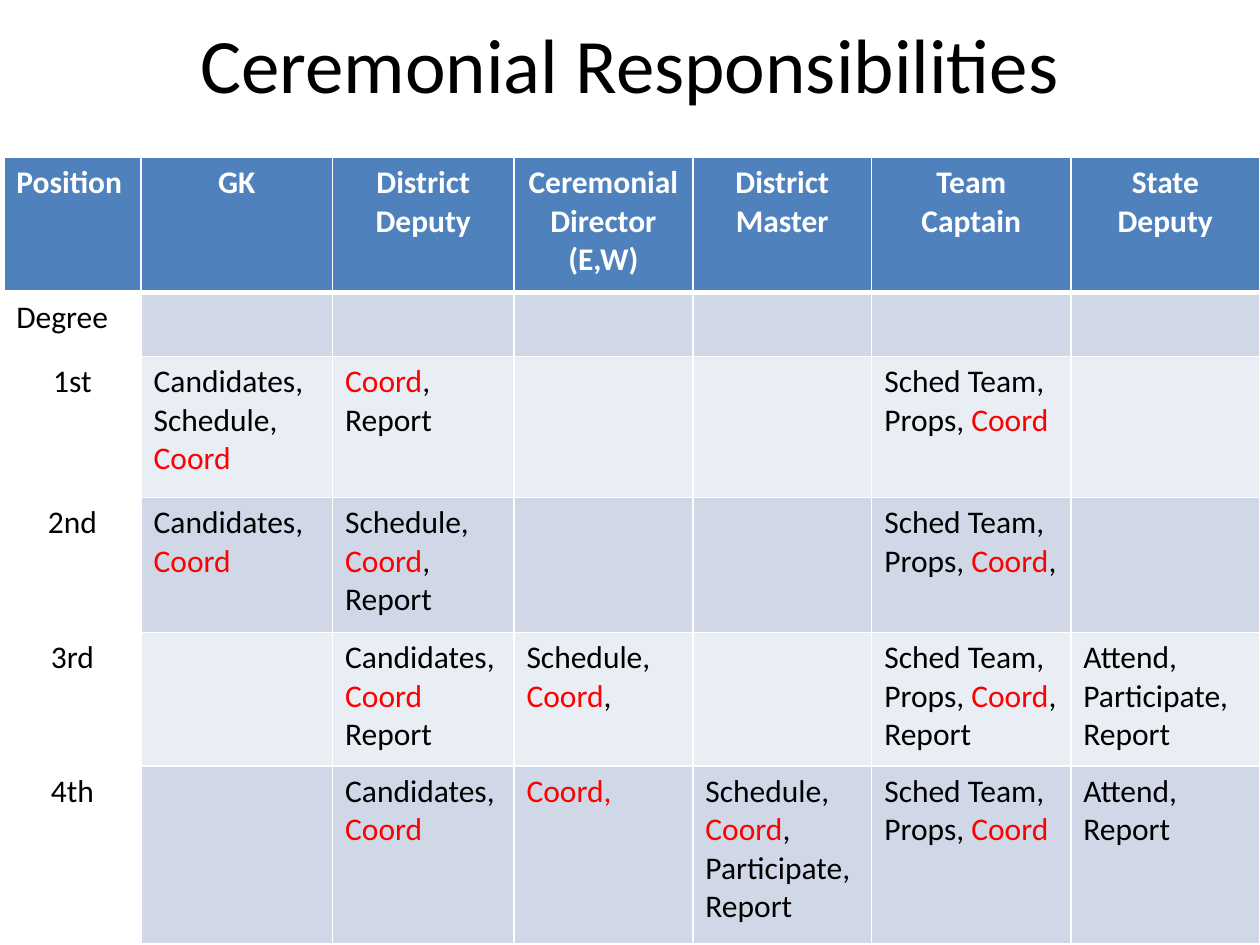
"""Build the Ceremonial Responsibilities slide."""
from lxml import etree
from pptx import Presentation
from pptx.dml.color import RGBColor
from pptx.enum import text
from pptx.oxml import ns
from pptx.util import Inches, Pt

COLORS = {"black": "000000", "white": "FFFFFF", "red": "FF0000",
          "header": "4F81BD", "dark": "D0D8E8", "light": "E9EDF4"}
COLUMNS = [1.09, 1.52, 1.44, 1.42, 1.42, 1.58, 1.5]
HEIGHTS = [1.07, 0.51, 1.12, 1.07, 1.06, 1.41]
TEAM = "Sched Team, Props, *Coord*"
ROWS = [
    ["Position", "GK", "District Deputy", "Ceremonial Director (E,W)",
     "District Master", "Team Captain", "State Deputy"],
    ["Degree", "", "", "", "", "", ""],
    ["1st", "Candidates,\nSchedule,\n*Coord*", "*Coord*,\nReport", "", "", TEAM, ""],
    ["2nd", "Candidates,\n*Coord*", "Schedule,\n*Coord*,\nReport", "", "", TEAM + ",", ""],
    ["3rd", "", "Candidates,*Coord*\nReport", "Schedule,\n*Coord*,", "",
     TEAM + ", Report", "Attend,\nParticipate,\nReport"],
    ["4th", "", "Candidates,\n*Coord*", "*Coord,*",
     "Schedule,\n*Coord*, Participate,\nReport", TEAM, "Attend,\nReport"],
]


def rgb(name):
    """Return the named colour."""
    return RGBColor.from_string(COLORS[name])


def add_run(p, words, size, color, bold=False):
    """Append one formatted run to a paragraph."""
    r = p.add_run()
    r.text = words
    r.font.name = "Calibri"
    r.font.size = Pt(size)
    r.font.bold = bold
    r.font.color.rgb = rgb(color)


def write_cell(cell, marked, color, bold, centred):
    """Write lines into a cell, with starred words in red."""
    tf = cell.text_frame
    for i, line in enumerate(marked.split("\n")):
        p = tf.add_paragraph() if i else tf.paragraphs[0]
        p.alignment = text.PP_ALIGN.CENTER if centred else text.PP_ALIGN.LEFT
        p.font.size = Pt(18)
        for j, words in enumerate(line.split("*")):
            if words:
                add_run(p, words, 18, "red" if j % 2 else color, bold)


def set_borders(cell, top, bottom):
    """Draw white borders around a cell, widths in points."""
    tcPr = cell._tc.get_or_add_tcPr()
    widths = {"lnL": 1, "lnR": 1, "lnT": top, "lnB": bottom}
    for i, (side, width) in enumerate(widths.items()):
        ln = etree.Element(ns.qn("a:" + side), w=str(Pt(width)))
        fill = etree.SubElement(ln, ns.qn("a:solidFill"))
        etree.SubElement(fill, ns.qn("a:srgbClr"), val=COLORS["white"])
        tcPr.insert(i, ln)


def fill_cell(cell, row, col):
    """Fill a cell by its place: header, plain first column or band."""
    if row and not col:
        cell.fill.background()
        return
    cell.fill.solid()
    cell.fill.fore_color.rgb = rgb("header" if not row else "dark" if row % 2 else "light")


def add_title(s, words):
    """Place and format the slide title."""
    sp = s.shapes.title
    sp.left, sp.top, sp.width, sp.height = map(Inches, (0.5, 0, 9, 1))
    tf = sp.text_frame
    tf.vertical_anchor = text.MSO_ANCHOR.MIDDLE
    p = tf.paragraphs[0]
    p.alignment = text.PP_ALIGN.CENTER
    add_run(p, words, 44, "black")


def add_duties(s):
    """Add the table of duties by degree and position."""
    table = s.shapes.add_table(len(ROWS), len(COLUMNS), Inches(0.03), Inches(1.25),
                               Inches(9.97), Inches(6.25)).table
    for column, width in zip(table.columns, COLUMNS):
        column.width = Inches(width)
    for row, (height, entries) in enumerate(zip(HEIGHTS, ROWS)):
        table.rows[row].height = Inches(height)
        for col, entry in enumerate(entries):
            cell = table.cell(row, col)
            header = row == 0
            centred = col > 0 if header else col == 0 and row > 1
            write_cell(cell, entry, "white" if header else "black", header, centred)
            fill_cell(cell, row, col)
            set_borders(cell, 3 if row == 1 else 1, 3 if header else 1)


def main():
    """Build and save the slide."""
    prs = Presentation()
    prs.slide_width, prs.slide_height = Inches(10), Inches(7.5)
    s = prs.slides.add_slide(prs.slide_layouts[5])
    add_title(s, "Ceremonial Responsibilities")
    add_duties(s)
    prs.save("out.pptx")


main()
